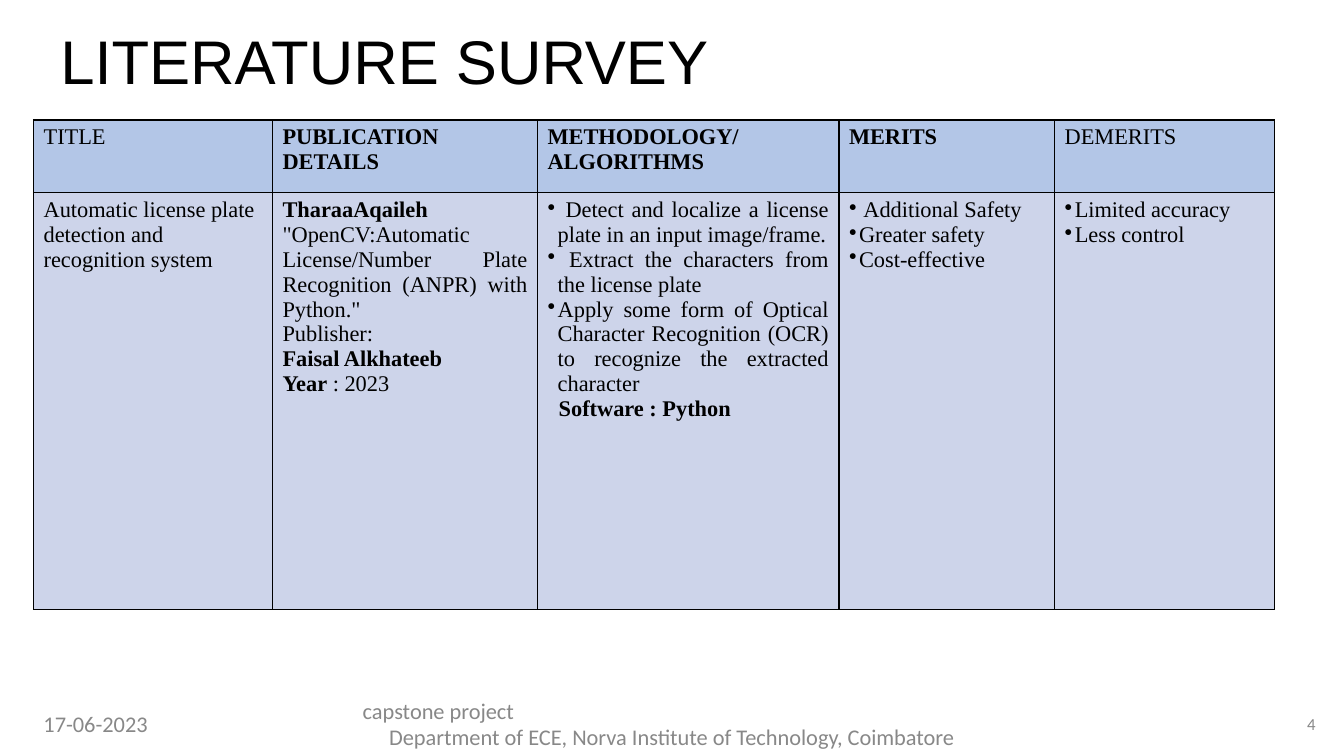
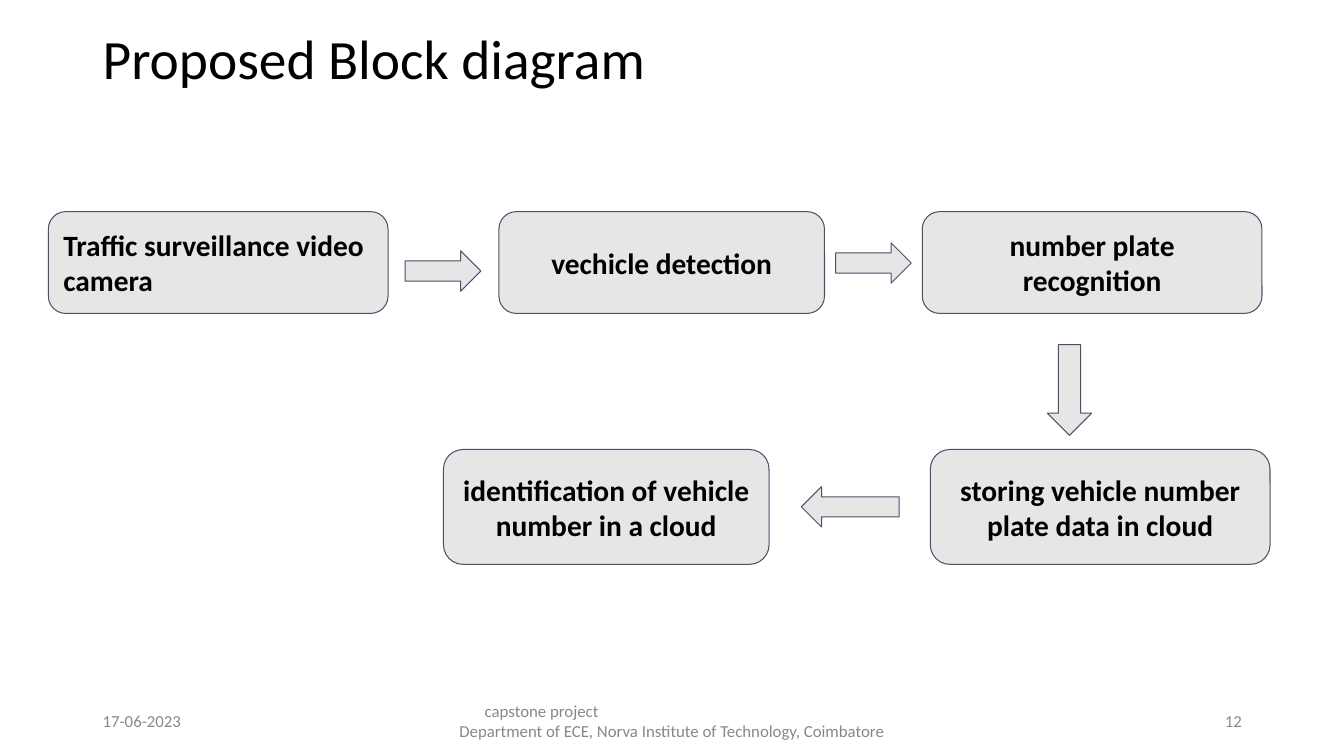
from dataclasses import dataclass
from pptx import Presentation
from pptx.dml.color import RGBColor
from pptx.enum.shapes import MSO_SHAPE as Preset
from pptx.enum.text import MSO_ANCHOR as Anchor, PP_ALIGN as Align
from pptx.oxml import parse_xml
from pptx.oxml.ns import nsdecls
from pptx.util import Inches, Pt

COLUMNS, ROWS = 40, 22.5
UNIT = Inches(13.33) / COLUMNS


@dataclass(frozen=True)
class Theme:
    ink: str = "000000"
    muted: str = "888888"
    header: str = "B3C6E7"
    body: str = "CDD4EA"
    block: str = "E7E6E6"
    outline: str = "44546A"
    sans: str = "Calibri"
    serif: str = "Times New Roman"
    display: str = "Arial"
    title: float = 44
    subtitle: float = 39.6
    label: float = 21
    cell: float = 16
    small: float = 12


@dataclass(frozen=True)
class Box:
    x: float
    y: float
    w: float
    h: float

    def inner(self, x, y, w, h):
        return Box(self.x + x, self.y + y, w, h)

    def place(self):
        return [span(v) for v in (self.x, self.y, self.w, self.h)]


@dataclass(frozen=True)
class Para:
    text: str
    bold: bool = False
    tail: str = ""
    align: object = None
    indent: float = 0
    bullet: bool = False


THEME = Theme()


def span(units):
    return round(units * UNIT)


def color(value):
    return RGBColor.from_string(value)


def write(frame, paras, size, font=THEME.sans, ink=THEME.ink, align=Align.LEFT,
          anchor=Anchor.MIDDLE, spacing=None):
    frame.word_wrap = True
    frame.vertical_anchor = anchor
    for index, para in enumerate(paras):
        line = frame.add_paragraph() if index else frame.paragraphs[0]
        line.alignment = para.align or align
        if spacing:
            line.line_spacing = spacing
        if para.indent:
            props = line._p.get_or_add_pPr()
            props.set("marL", str(span(para.indent)))
            if para.bullet:
                props.set("indent", str(-span(para.indent)))
                props.append(parse_xml(f'<a:buChar {nsdecls("a")} char="•"/>'))
        for words, bold in ((para.text, para.bold), (para.tail, False)):
            if words:
                run = line.add_run()
                run.text = words
                run.font.size, run.font.name, run.font.bold = Pt(size), font, bold
                run.font.color.rgb = color(ink)


def label(slide, box, paras, size, **style):
    write(slide.shapes.add_textbox(*box.place()).text_frame, paras, size, **style)


def heading(slide, box, words, size, font):
    label(slide, box, [Para(words)], size, font=font, spacing=0.9)


def footer(slide, box, page, date_width, note_width, page_width, size, lead):
    note_left = (COLUMNS - note_width) / 2 - box.x
    note = [Para("capstone project", align=Align.LEFT, indent=lead),
            Para("Department of ECE, Norva Institute of Technology, Coimbatore")]
    label(slide, box.inner(0, 0, date_width, box.h), [Para("17-06-2023")], size,
          ink=THEME.muted)
    label(slide, box.inner(note_left, 0, note_width, box.h), note, size,
          ink=THEME.muted, align=Align.CENTER)
    label(slide, box.inner(box.w - page_width, 0, page_width, box.h), [Para(page)],
          THEME.small, ink=THEME.muted, align=Align.RIGHT)


def paint_cell(cell, paras, fill):
    props = cell._tc.get_or_add_tcPr()
    for side in ("lnL", "lnR", "lnT", "lnB"):
        props.append(parse_xml(
            f'<a:{side} {nsdecls("a")} w="{Pt(1)}"><a:solidFill>'
            f'<a:srgbClr val="{THEME.ink}"/></a:solidFill></a:{side}>'))
    cell.fill.solid()
    cell.fill.fore_color.rgb = color(fill)
    write(cell.text_frame, paras, THEME.cell, font=THEME.serif, anchor=Anchor.TOP)
    cell.vertical_anchor = Anchor.TOP


def survey_table(slide, box, widths, heights, rows):
    table = slide.shapes.add_table(len(heights), len(widths), *box.place()).table
    table.first_row = table.horz_banding = False
    for column, width in zip(table.columns, widths):
        column.width = span(width)
    for r, (height, cells, fill) in enumerate(
            zip(heights, rows, (THEME.header, THEME.body))):
        table.rows[r].height = span(height)
        for c, paras in enumerate(cells):
            paint_cell(table.cell(r, c), paras, fill)


def outlined(slide, box, preset):
    shape = slide.shapes.add_shape(preset, *box.place())
    shape.shadow.inherit = False
    shape.fill.solid()
    shape.fill.fore_color.rgb = color(THEME.block)
    shape.line.color.rgb = color(THEME.outline)
    shape.line.width = Pt(0.75)
    return shape


def step(slide, box, words, align=Align.CENTER):
    block = outlined(slide, box, Preset.ROUNDED_RECTANGLE)
    block.adjustments[0] = 0.17
    frame = block.text_frame
    frame.margin_left = frame.margin_right = Inches(0.1)
    frame.margin_top = frame.margin_bottom = Inches(0.1)
    write(frame, [Para(words, bold=True)], THEME.label, align=align)


def block_diagram(slide, box):
    wide, narrow = 10.11, 9.69
    upper, lower = (0, 3.03), (7.08, 3.42)
    steps = [
        ("Traffic surveillance video camera", 0, wide, upper, Align.LEFT),
        ("vechicle detection", 13.41, narrow, upper, Align.CENTER),
        ("number plate recognition", 26.01, wide, upper, Align.CENTER),
        ("storing vehicle number plate data in cloud", 26.25, wide, lower, Align.CENTER),
        ("identification of vehicle number in a cloud", 11.76, narrow, lower, Align.CENTER),
    ]
    arrows = [
        (Preset.RIGHT_ARROW, 10.62, 1.17, 2.25, 1.2),
        (Preset.RIGHT_ARROW, 23.43, 0.93, 2.25, 1.2),
        (Preset.DOWN_ARROW, 29.73, 3.96, 1.32, 2.7),
        (Preset.LEFT_ARROW, 22.41, 8.19, 2.91, 1.2),
    ]
    for words, x, width, (y, height), align in steps:
        step(slide, box.inner(x, y, width, height), words, align)
    for preset, *area in arrows:
        outlined(slide, box.inner(*area), preset)


def bullets(*items):
    return [Para(item, align=Align.JUSTIFY, indent=0.3, bullet=True) for item in items]


def justified(text, bold=False, **extra):
    return Para(text, bold, align=Align.JUSTIFY, **extra)


def survey_slide(slide, page):
    heading(slide, page.inner(1.5, 0.54, 35.26, 2.76), "LITERATURE SURVEY",
            THEME.title, THEME.display)
    titles = [
        [Para("TITLE")],
        [Para("PUBLICATION DETAILS", True)],
        [Para("METHODOLOGY/", True), Para("ALGORITHMS", True)],
        [Para("MERITS", True)],
        [Para("DEMERITS")],
    ]
    entry = [
        [Para("Automatic license plate detection and recognition system")],
        [justified("TharaaAqaileh", True),
         justified('"OpenCV:Automatic License/Number Plate Recognition (ANPR) with Python."'),
         justified("Publisher:"),
         justified("Faisal Alkhateeb", True),
         justified("Year", True, tail=" : 2023")],
        bullets(" Detect and localize a license plate in an input image/frame.",
                " Extract the characters from the license plate",
                "Apply some form of Optical Character Recognition (OCR) "
                "to recognize the extracted character")
        + [justified("Software : Python", True, indent=0.33)],
        bullets(" Additional Safety", "Greater safety", "Cost-effective"),
        bullets("Limited accuracy", "Less control"),
    ]
    survey_table(slide, page.inner(1, 3.57, 36.93, 14.58),
                 (7.11, 7.89, 8.97, 6.42, 6.54), (2.16, 12.42), (titles, entry))
    footer(slide, page.inner(1, 20.94, 38.45, 1.2), "4", 4.35, 22.2, 1.83,
           THEME.cell, 1.6)


def diagram_slide(slide, page):
    heading(slide, page.inner(2.76, 1.2, 34.5, 1.29), "Proposed Block diagram",
            THEME.subtitle, THEME.sans)
    footer(slide, page.inner(2.76, 20.85, 34.5, 1.2), "12", 9, 13.5, 9,
           THEME.small, 0.88)
    block_diagram(slide, page.inner(1.44, 6.3, 36.36, 10.5))


def main():
    deck = Presentation()
    deck.slide_width, deck.slide_height = span(COLUMNS), Inches(7.5)
    page = Box(0, 0, COLUMNS, ROWS)
    for build in (survey_slide, diagram_slide):
        build(deck.slides.add_slide(deck.slide_layouts[6]), page)
    deck.save("out.pptx")


if __name__ == "__main__":
    main()
